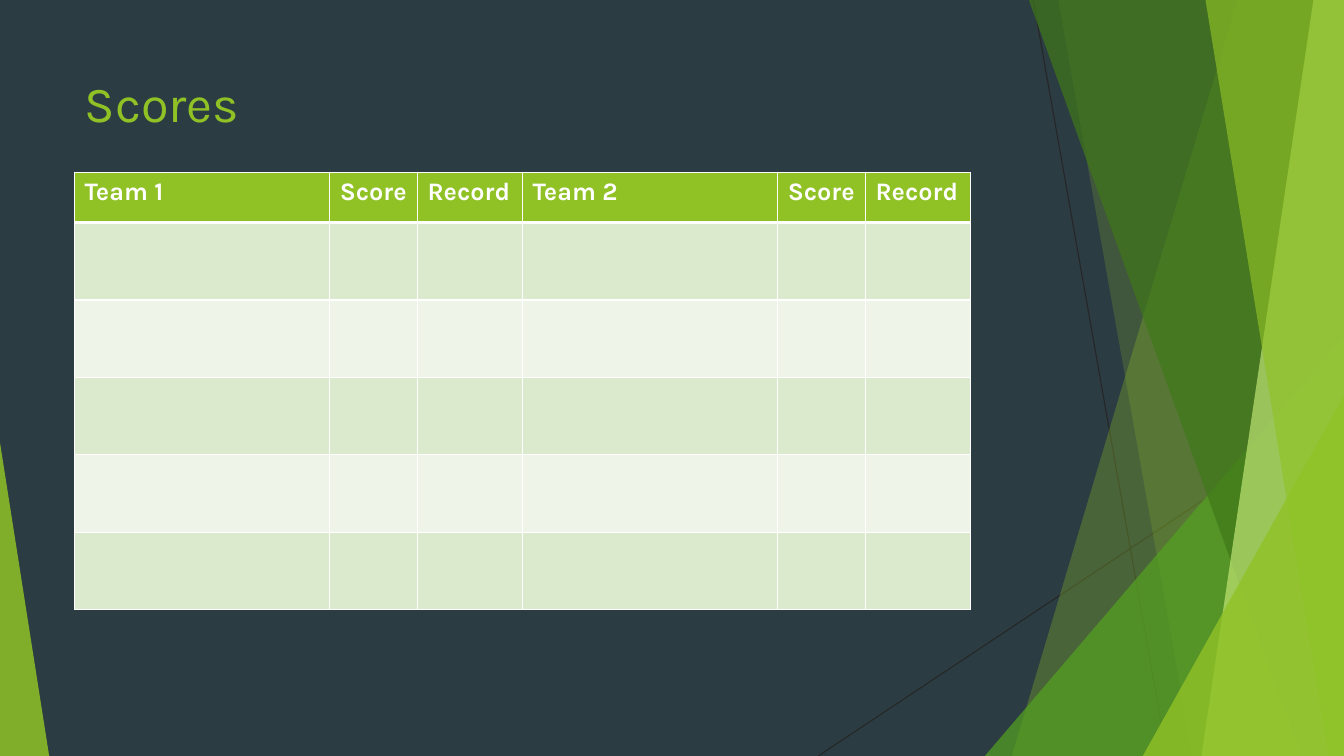
import lxml.etree
import pptx
import pptx.dml.color
import pptx.enum.shapes
import pptx.enum.text
import pptx.oxml.ns
import pptx.util

Cm = pptx.util.Cm
qn = pptx.oxml.ns.qn
WIDTH, HEIGHT = 33.87, 19.05
FONT = "Karla"
GREEN, WHITE, DARK = "90C226", "FFFFFF", "262626"
HEADINGS = ["Team 1", "Score", "Record"] + ["Team 2", "Score", "Record"]
COLUMN_WIDTHS = [6.43, 2.21, 2.65] * 2
HEADER_HEIGHT, ROW_HEIGHT, SCORE_ROWS = 1.27, 1.95, 5
BAND_COLOURS = ["DBE9CD", "EEF4E8"]


def colour(value):
    return pptx.dml.color.RGBColor.from_string(value)


def paint(shape, value, opacity):
    shape.shadow.inherit = False
    shape.fill.solid()
    shape.fill.fore_color.rgb = colour(value)
    shape.line.fill.background()
    solid = shape._element.spPr.find(qn("a:solidFill"))
    lxml.etree.SubElement(solid[0], qn("a:alpha"), val=str(opacity * 1000))


def write(frame, text, size=18, value=WHITE, bold=False):
    para = frame.paragraphs[0]
    para.alignment = pptx.enum.text.PP_ALIGN.LEFT
    span = para.add_run()
    span.text = text
    span.font.name = FONT
    span.font.size = pptx.util.Pt(size)
    span.font.bold = bold
    span.font.color.rgb = colour(value)


def add_thin_line(page, *ends):
    line = page.shapes.add_connector(
        pptx.enum.shapes.MSO_CONNECTOR.STRAIGHT, *map(Cm, ends))
    line.line.color.rgb = colour(DARK)
    line.line.width = pptx.util.Pt(0.75)
    lxml.etree.SubElement(line._element.spPr, qn("a:effectLst"))


def add_panel(page, top_x, bottom_x, value, opacity):
    builder = page.shapes.build_freeform(Cm(top_x), 0)
    corners = [(WIDTH, 0), (WIDTH, HEIGHT), (bottom_x, HEIGHT)]
    builder.add_line_segments([(Cm(x), Cm(y)) for x, y in corners], close=True)
    paint(builder.convert_to_shape(), value, opacity)


def add_corner(page, left, top, width, apex, value, opacity):
    triangle = page.shapes.add_shape(
        pptx.enum.shapes.MSO_SHAPE.ISOSCELES_TRIANGLE,
        Cm(left), Cm(top), Cm(width), Cm(HEIGHT - top))
    triangle.adjustments[0] = apex
    paint(triangle, value, opacity)


def add_backdrop(page):
    add_thin_line(page, 26.04, 0, 29.41, HEIGHT)
    add_thin_line(page, WIDTH, 10.24, 20.62, HEIGHT)
    add_panel(page, 31.19, 25.5, GREEN, 30)
    add_panel(page, 26.67, 30.05, GREEN, 20)
    add_corner(page, 24.82, 8.46, 9.05, 1, "54A021", 72)
    add_panel(page, 25.93, 32.79, "3F7819", 70)
    add_panel(page, 33.1, 30.28, "C0E474", 70)
    add_panel(page, 30.38, 33.48, GREEN, 65)
    add_corner(page, 28.8, 9.98, 5.07, 1, GREEN, 80)
    add_corner(page, 0, 11.15, 1.24, 0, GREEN, 85)


def format_title(page, text):
    title = page.shapes.title
    title.left, title.top = Cm(1.88), Cm(1.7)
    title.width, title.height = Cm(23.88), Cm(3.66)
    title.text_frame.word_wrap = True
    title.text_frame.vertical_anchor = pptx.enum.text.MSO_ANCHOR.TOP
    write(title.text_frame, text, size=36, value=GREEN)


def format_cell(cell, fill, top=1, bottom=1):
    properties = cell._tc.get_or_add_tcPr()
    for side, points in zip("LRTB", (1, 1, top, bottom)):
        border = lxml.etree.SubElement(
            properties, qn(f"a:ln{side}"), w=str(pptx.util.Pt(points)))
        solid = lxml.etree.SubElement(border, qn("a:solidFill"))
        lxml.etree.SubElement(solid, qn("a:srgbClr"), val=WHITE)
    cell.fill.solid()
    cell.fill.fore_color.rgb = colour(fill)


def add_score_table(page):
    heights = [HEADER_HEIGHT] + [ROW_HEIGHT] * SCORE_ROWS
    table = page.shapes.add_table(
        len(heights), len(HEADINGS), Cm(1.88), Cm(4.34),
        Cm(sum(COLUMN_WIDTHS)), Cm(sum(heights))).table
    for column, width in zip(table.columns, COLUMN_WIDTHS):
        column.width = Cm(width)
    for row, height in zip(table.rows, heights):
        row.height = Cm(height)
    for index, heading in enumerate(HEADINGS):
        header = table.cell(0, index)
        format_cell(header, GREEN, bottom=3)
        header.margin_right = Cm(0.1)
        write(header.text_frame, heading, bold=True)
        for row in range(1, SCORE_ROWS + 1):
            format_cell(table.cell(row, index), BAND_COLOURS[(row - 1) % 2],
                        top=3 if row == 1 else 1)


def main():
    deck = pptx.Presentation()
    deck.slide_width, deck.slide_height = Cm(WIDTH), Cm(HEIGHT)
    page = deck.slides.add_slide(deck.slide_layouts[5])
    page.background.fill.solid()
    page.background.fill.fore_color.rgb = colour("2C3C43")
    add_backdrop(page)
    format_title(page, "Scores")
    add_score_table(page)
    deck.save("out.pptx")


if __name__ == "__main__":
    main()
